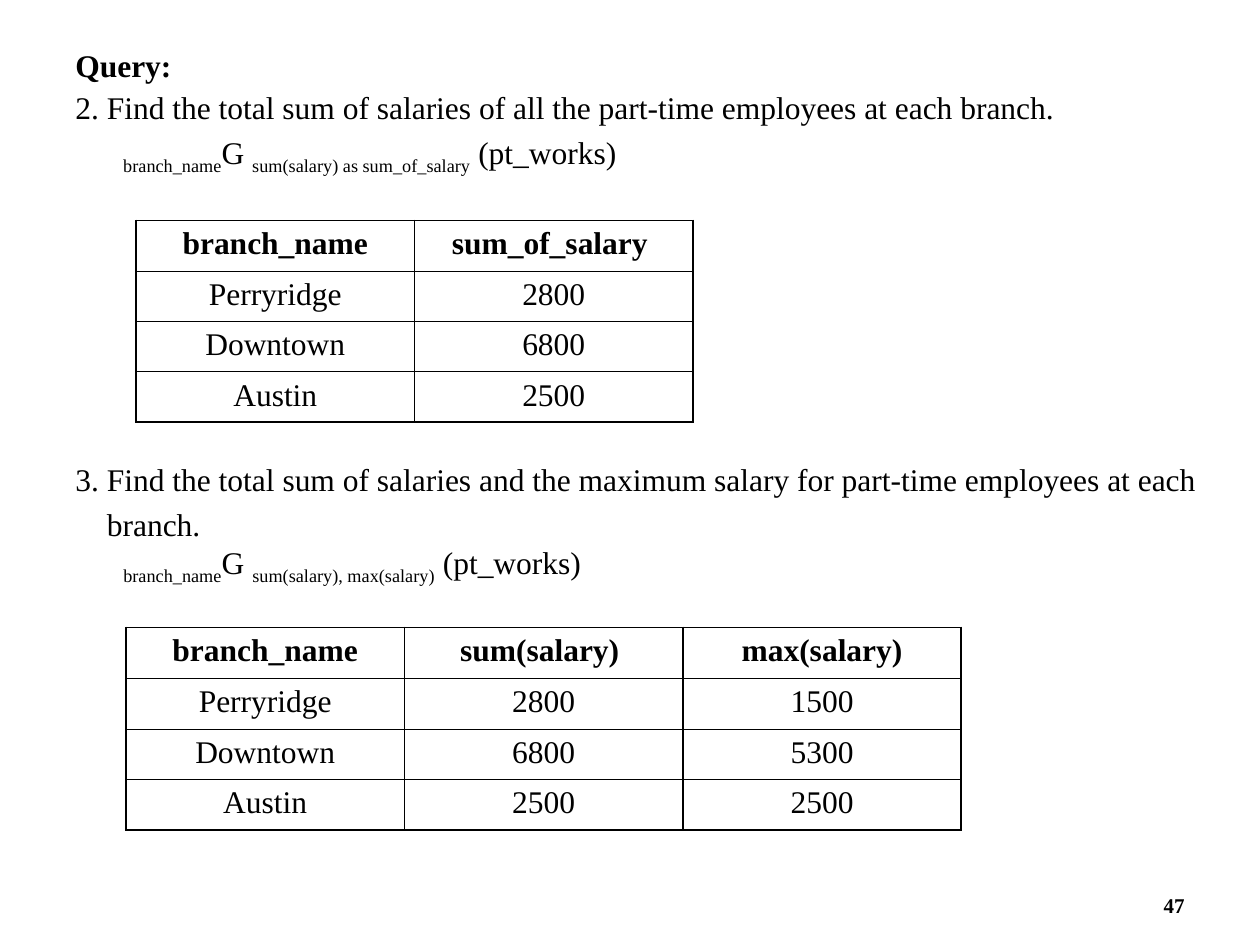
from dataclasses import dataclass

from lxml.etree import SubElement
from pptx import Presentation
from pptx.dml.color import RGBColor
from pptx.enum.text import MSO_ANCHOR, PP_ALIGN
from pptx.oxml.ns import qn
from pptx.util import Inches, Pt


@dataclass(frozen=True)
class Theme:
    font: str = "Times New Roman"
    ink: RGBColor = RGBColor(0, 0, 0)
    body: float = 18
    number: float = 12
    heavy: float = 1.08
    light: float = 0.45


THEME = Theme()


def style(p, size=THEME.body, bold=False, align=PP_ALIGN.LEFT):
    p.alignment = align
    p.font.name = THEME.font
    p.font.size = Pt(size)
    p.font.bold = bold
    p.font.color.rgb = THEME.ink


def add_text(s, box, paragraphs):
    """Each paragraph is (runs, margin, first-line indent, bold);
    each run is (text, is_subscript)."""
    tf = s.shapes.add_textbox(*map(Inches, box)).text_frame
    tf.word_wrap = True
    for i, (runs, margin, indent, bold) in enumerate(paragraphs):
        p = tf.add_paragraph() if i else tf.paragraphs[0]
        style(p, bold=bold)
        pPr = p._p.get_or_add_pPr()
        pPr.set("marL", str(Inches(margin)))
        pPr.set("indent", str(Inches(indent)))
        for text, subscript in runs:
            r = p.add_run()
            r.text = text
            if subscript:
                r._r.get_or_add_rPr().set("baseline", "-25000")
    return tf


def formula(aggregates):
    return [("branch_name", True), ("G ", False), (aggregates, True), (" (pt_works)", False)]


def set_borders(cell, top, bottom):
    """Draw the four cell edges; the side edges are always heavy."""
    tcPr = cell._tc.get_or_add_tcPr()
    edges = (("L", THEME.heavy), ("R", THEME.heavy), ("T", top), ("B", bottom))
    for i, (side, width) in enumerate(edges):
        ln = SubElement(tcPr, qn(f"a:ln{side}"), w=str(Pt(width)))
        fill = SubElement(ln, qn("a:solidFill"))
        SubElement(fill, qn("a:srgbClr"), val=str(THEME.ink))
        tcPr.insert(i, ln)  # borders come before the cell fill


def add_result_table(s, box, rows):
    table = s.shapes.add_table(len(rows), len(rows[0]), *map(Inches, box)).table
    table.first_row = table.horz_banding = False
    last = len(rows) - 1
    for i, row in enumerate(rows):
        for j, text in enumerate(row):
            cell = table.cell(i, j)
            cell.fill.background()
            cell.text = text
            p = cell.text_frame.paragraphs[0]
            style(p, bold=i == 0, align=PP_ALIGN.CENTER)
            p.space_before = Pt(4.5)
            set_borders(cell, THEME.heavy if i == 0 else THEME.light,
                        THEME.heavy if i == last else THEME.light)


def add_sum_query(s, box):
    tf = add_text(s, box, [
        ([("Query:", False)], 0.38, -0.38, True),
        ([("2. Find the total sum of salaries of all the part-time employees at each branch.",
           False)], 0.38, -0.38, False),
        (formula("sum(salary) as sum_of_salary"), 0.38, 0, False),
    ])
    for p in tf.paragraphs:
        p.line_spacing = 0.6
        p.space_before = Pt(11.2)


def add_max_query(s, box):
    tf = add_text(s, box, [
        ([("3. Find the total sum of salaries and the maximum salary for part-time employees"
           " at each", False)], 0, 0, False),
        ([("branch.", False)], 0.25, 0, False),
        (formula("sum(salary), max(salary)"), 0.38, 0, False),
    ])
    tf.paragraphs[1].line_spacing = 1.2


def add_page_number(s, box, number):
    tf = s.shapes.add_textbox(*map(Inches, box)).text_frame
    tf.word_wrap = True
    tf.vertical_anchor = MSO_ANCHOR.BOTTOM
    p = tf.paragraphs[0]
    p.text = number
    style(p, THEME.number, True, PP_ALIGN.RIGHT)


def main():
    prs = Presentation()
    prs.slide_width, prs.slide_height = Inches(10), Inches(7.5)
    s = prs.slides.add_slide(prs.slide_layouts[6])

    # Query 2 and its result
    add_sum_query(s, (0.5, 0.42, 9, 1.65))
    add_result_table(s, (1.08, 1.75, 4.42, 1.6), [
        ("branch_name", "sum_of_salary "),
        ("Perryridge", "2800"),
        ("Downtown", "6800"),
        ("Austin", "2500"),
    ])

    # Query 3 and its result
    add_max_query(s, (0.5, 3.6, 9.25, 1.46))
    add_result_table(s, (1, 4.98, 6.63, 1.61), [
        ("branch_name", "sum(salary) ", "max(salary)"),
        ("Perryridge", "2800", "1500"),
        ("Downtown", "6800", "5300"),
        ("Austin", "2500", "2500"),
    ])

    add_page_number(s, (7.17, 6.83, 2.33, 0.5), "47")
    prs.save("out.pptx")


if __name__ == "__main__":
    main()
